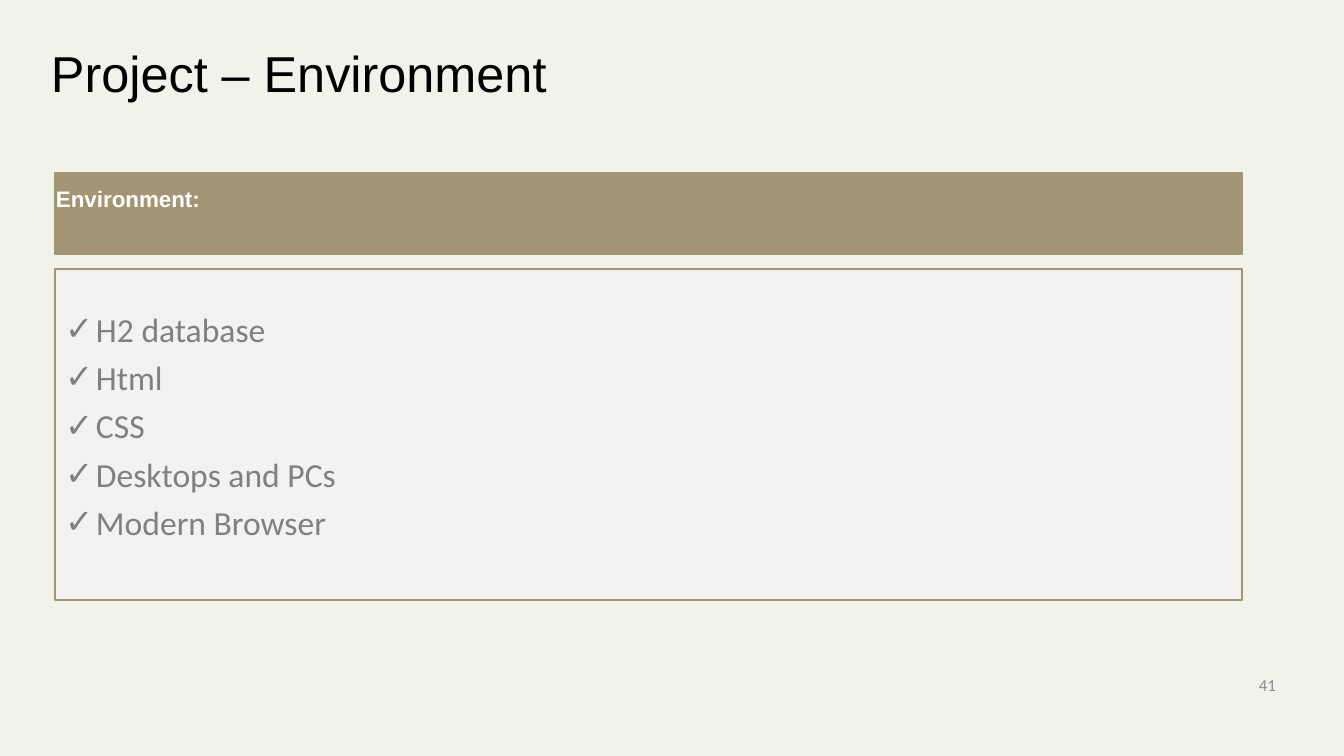
from dataclasses import dataclass

from lxml import etree
from pptx import Presentation
from pptx import util as u
from pptx.dml.color import RGBColor
from pptx.enum import shapes, text
from pptx.oxml import ns


@dataclass(frozen=True)
class Theme:
    background: str = "F1F2EA"
    accent: str = "A29574"
    panel: str = "F2F2F2"
    heading: str = "000000"
    banner_text: str = "FFFFFF"
    body: str = "808080"
    muted: str = "8C8C8C"
    head_font: str = "Arial"
    body_font: str = "Calibri"
    title_size: int = 36
    banner_size: int = 16
    body_size: int = 24
    number_size: int = 12


THEME = Theme()
ALIGN, ANCHOR = text.PP_ALIGN, text.MSO_ANCHOR
ENVIRONMENT = ["H2 database", "Html", "CSS", "Desktops and PCs", "Modern Browser"]


def px(n):
    return u.Emu(round(n * 914400 / 100.8))


def place(shape, box):
    shape.left, shape.top, shape.width, shape.height = map(px, box)


def add_bullet(paragraph, mark, indent):
    props = paragraph._p.get_or_add_pPr()
    props.set("marL", str(px(indent)))
    props.set("indent", str(-px(indent)))
    etree.SubElement(props, ns.qn("a:buFont"), typeface="Arial")
    etree.SubElement(props, ns.qn("a:buChar"), char=mark)


def write(shape, lines, *, size, color, font, bold=False, align=ALIGN.LEFT,
          anchor=ANCHOR.TOP, insets=(10, 5, 10, 5), bullet=None, gap=0):
    frame = shape.text_frame
    frame.word_wrap = True
    frame.auto_size = text.MSO_AUTO_SIZE.NONE
    frame.vertical_anchor = anchor
    (frame.margin_left, frame.margin_top,
     frame.margin_right, frame.margin_bottom) = map(px, insets)
    for i, line in enumerate(lines):
        paragraph = frame.add_paragraph() if i else frame.paragraphs[0]
        paragraph.alignment = align
        if gap:
            paragraph.space_before = u.Pt(gap if i else 0)
            paragraph.space_after = u.Pt(gap)
        if bullet:
            add_bullet(paragraph, bullet, indent=31)
        run = paragraph.add_run()
        run.text = line
        run.font.name, run.font.size, run.font.bold = font, u.Pt(size), bold
        run.font.color.rgb = RGBColor.from_string(color)


def add_panel(slide, box, fill):
    panel = slide.shapes.add_shape(shapes.MSO_SHAPE.RECTANGLE, *map(px, box))
    panel.shadow.inherit = False
    panel.fill.solid()
    panel.fill.fore_color.rgb = RGBColor.from_string(fill)
    panel.line.color.rgb = RGBColor.from_string(THEME.accent)
    panel.line.width = u.Pt(1)
    return panel


def add_title(slide, box, title):
    place(slide.shapes.title, box)
    write(slide.shapes.title, [title], size=THEME.title_size, color=THEME.heading,
          font=THEME.head_font, insets=(10, 10, 10, 5))


def add_checklist(slide, box, heading, items):
    """Place a heading banner with a panel of ticked items below it."""
    left, top, width, height = box
    banner_height, spacing = 81, 15
    banner = add_panel(slide, (left, top, width, banner_height), THEME.accent)
    write(banner, [heading], size=THEME.banner_size, color=THEME.banner_text,
          font=THEME.head_font, bold=True, insets=(1, 12, 10, 5))
    body_top = banner_height + spacing
    body = add_panel(slide, (left, top + body_top, width, height - body_top), THEME.panel)
    write(body, items, size=THEME.body_size, color=THEME.body, font=THEME.body_font,
          align=ALIGN.JUSTIFY, anchor=ANCHOR.MIDDLE, insets=(10, 5, 10, 23),
          bullet="✓", gap=2.9)


def add_page_number(slide, box, number):
    page_number = slide.shapes.add_textbox(*map(px, box))
    write(page_number, [number], size=THEME.number_size, color=THEME.muted,
          font=THEME.body_font, align=ALIGN.RIGHT, anchor=ANCHOR.MIDDLE)


def main():
    deck = Presentation()
    deck.slide_width, deck.slide_height = px(1344), px(756)
    slide = deck.slides.add_slide(deck.slide_layouts.get_by_name("Title Only"))
    slide.background.fill.solid()
    slide.background.fill.fore_color.rgb = RGBColor.from_string(THEME.background)
    add_title(slide, (41, 32, 1229, 132), "Project – Environment")
    add_checklist(slide, (55, 173, 1187, 427), "Environment:", ENVIRONMENT)
    add_page_number(slide, (984, 665, 302, 40), "41")
    deck.save("out.pptx")


if __name__ == "__main__":
    main()
